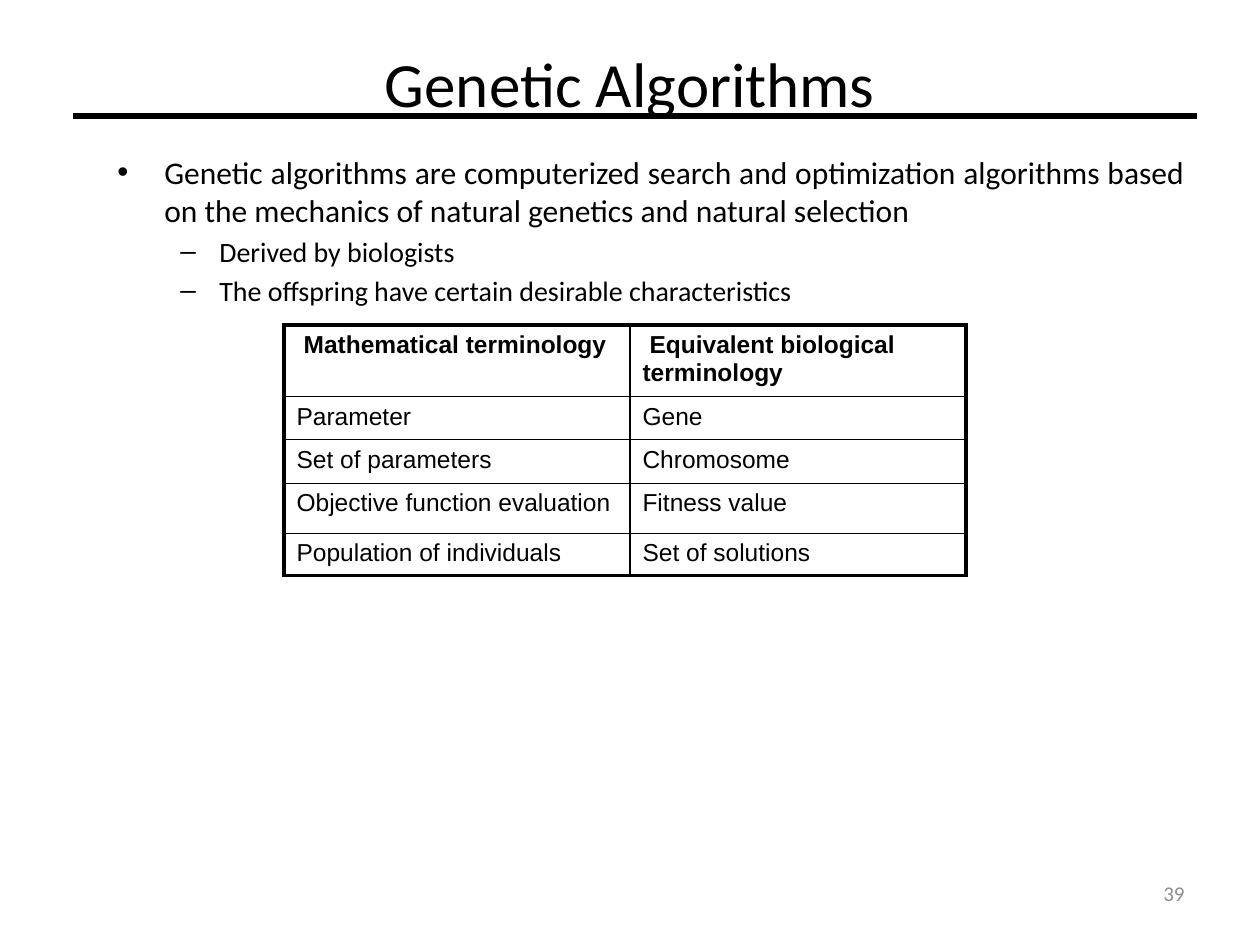
from lxml.etree import SubElement
from pptx import Presentation
from pptx.dml.color import RGBColor
from pptx.enum.shapes import MSO_CONNECTOR
from pptx.enum.text import MSO_ANCHOR, PP_ALIGN
from pptx.oxml.ns import qn
from pptx.util import Emu, Pt

BULLETS = [
    (0, "Genetic algorithms are computerized search and optimization algorithms "
        "based on the mechanics of natural genetics and natural selection"),
    (1, "Derived by biologists"),
    (1, "The offspring have certain desirable characteristics"),
]
LEVELS = [("•", 18, 47, 47), ("–", 16, 102, 39)]
TERMS = [
    ("Mathematical terminology", "Equivalent biological terminology"),
    ("Parameter", "Gene"),
    ("Set of parameters", "Chromosome"),
    ("Objective function evaluation", "Fitness value"),
    ("Population of individuals", "Set of solutions"),
]


def px(n):
    """Turn slide pixels into EMU."""
    return Emu(round(n * 914400 / 126))


def rgb(value):
    """Turn a hex string into a colour."""
    return RGBColor.from_string(value)


class Deck:
    """Holds the style and the current slide."""

    font, table_font, ink, muted = "Calibri", "Arial", "000000", "8C8C8C"
    thin, thick = 1, 2.25

    def __init__(self, width, height):
        """Open a presentation with one title-only slide."""
        self.prs = Presentation()
        self.prs.slide_width, self.prs.slide_height = px(width), px(height)
        self.s = self.prs.slides.add_slide(self.prs.slide_layouts[5])

    def style(self, p, size, color=None, font=None, bold=False):
        """Format the runs of a paragraph."""
        for r in p.runs:
            r.font.name, r.font.size, r.font.bold = font or self.font, Pt(size), bold
            r.font.color.rgb = rgb(color or self.ink)

    def indent(self, p, left, first):
        """Set the left and first-line indents of a paragraph."""
        pPr = p._p.get_or_add_pPr()
        pPr.set("marL", str(px(left)))
        pPr.set("indent", str(px(first)))
        return pPr

    def title(self, text, x, y, w, h, size):
        """Place and format the title placeholder."""
        sp = self.s.shapes.title
        sp.left, sp.top, sp.width, sp.height = map(px, (x, y, w, h))
        tf = sp.text_frame
        tf.text = text
        tf.vertical_anchor = MSO_ANCHOR.TOP
        tf.paragraphs[0].alignment = PP_ALIGN.CENTER
        self.style(tf.paragraphs[0], size)

    def box(self, x, y, w, h):
        """Add a wrapping text box and return its frame."""
        tf = self.s.shapes.add_textbox(*map(px, (x, y, w, h))).text_frame
        tf.word_wrap = True
        return tf

    def number(self, text, x, y, w, h):
        """Add the page number."""
        tf = self.box(x, y, w, h)
        tf.text = text
        tf.vertical_anchor = MSO_ANCHOR.MIDDLE
        tf.paragraphs[0].alignment = PP_ALIGN.RIGHT
        self.style(tf.paragraphs[0], 12, self.muted)

    def bullets(self, items, x, y, w, h):
        """Add a justified list with two bullet levels."""
        tf = self.box(x, y, w, h)
        for i, (level, text) in enumerate(items):
            p = tf.add_paragraph() if i else tf.paragraphs[0]
            char, size, left, hang = LEVELS[level]
            p.text, p.level, p.alignment = text, level, PP_ALIGN.JUSTIFY
            if i:
                p.space_before = Pt(size * 0.2)
            pPr = self.indent(p, left, -hang)
            SubElement(pPr, qn("a:buFont"), typeface="Arial")
            SubElement(pPr, qn("a:buChar"), char=char)
            self.style(p, size)

    def border(self, cell, side, width):
        """Draw one side of a table cell."""
        ln = SubElement(cell._tc.get_or_add_tcPr(), qn(f"a:ln{side}"), w=str(Pt(width)))
        SubElement(SubElement(ln, qn("a:solidFill")), qn("a:srgbClr"), val=self.ink)

    def table(self, rows, x, y, widths, heights):
        """Add a ruled table with a heavier outline."""
        last_row, last_col = len(heights) - 1, len(widths) - 1
        size = map(px, (x, y, sum(widths), sum(heights)))
        table = self.s.shapes.add_table(len(heights), len(widths), *size).table
        table.first_row = table.horz_banding = False
        for col, w in zip(table.columns, widths):
            col.width = px(w)
        for i, (row, h) in enumerate(zip(table.rows, heights)):
            row.height = px(h)
            for j, cell in enumerate(row.cells):
                cell.text = rows[i][j]
                p = cell.text_frame.paragraphs[0]
                if i == 0:
                    self.indent(p, 0, 7)
                self.style(p, 14, font=self.table_font, bold=i == 0)
                outer = {"L": j == 0, "R": j == last_col, "T": i == 0, "B": i == last_row}
                for side, edge in outer.items():
                    self.border(cell, side, self.thick if edge else self.thin)
                cell.fill.background()

    def rule(self, x1, x2, y, width):
        """Add a horizontal line."""
        ln = self.s.shapes.add_connector(MSO_CONNECTOR.STRAIGHT, *map(px, (x1, y, x2, y)))
        ln.line.color.rgb, ln.line.width = rgb(self.ink), Pt(width)
        SubElement(ln._element.spPr, qn("a:effectLst"))


def main():
    """Build the slide."""
    deck = Deck(1260, 945)
    deck.number("39", 903, 861, 294, 65)
    deck.title("Genetic Algorithms", 63, 38, 1134, 157, 36)
    deck.bullets(BULLETS, 105, 147, 1092, 798)
    deck.table(TERMS, 284, 325, [346, 336], [63, 43, 44, 50, 37])
    deck.rule(73, 1197, 116, 3)
    deck.prs.save("out.pptx")


if __name__ == "__main__":
    main()
